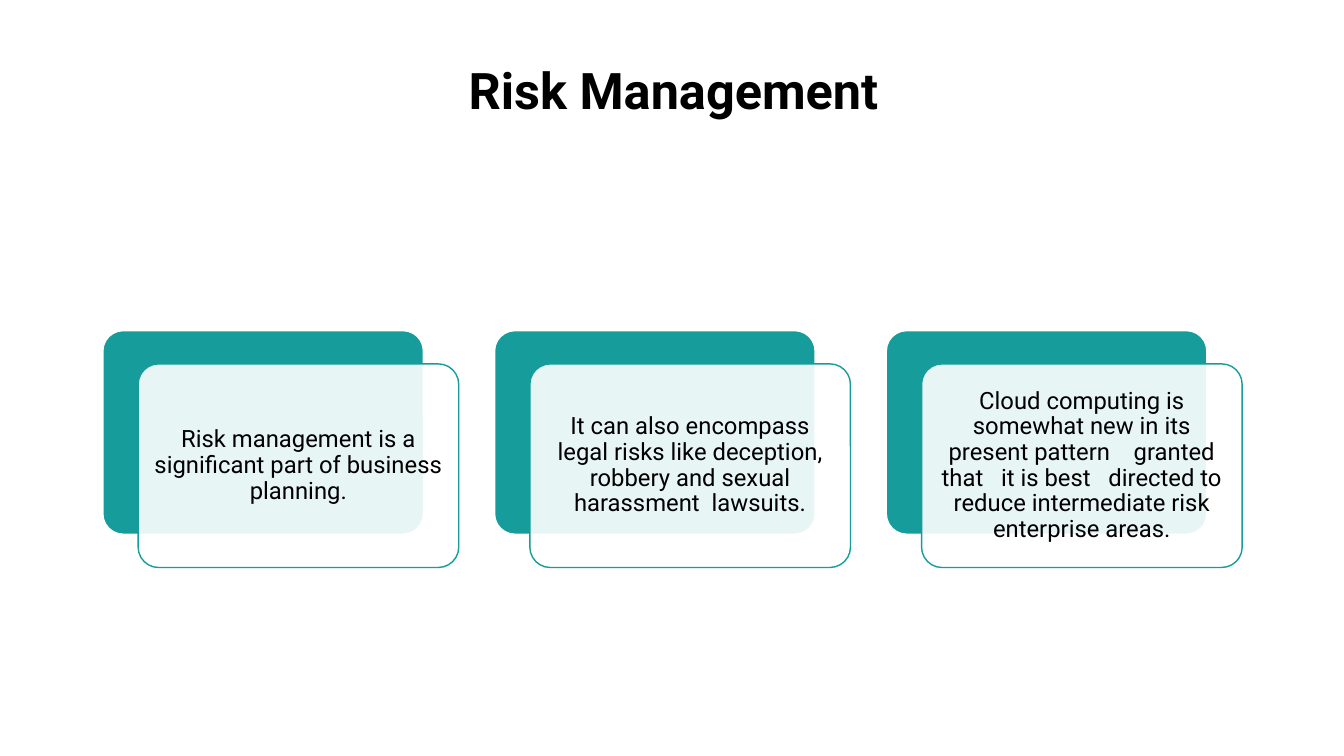
from dataclasses import dataclass

from lxml import etree
from pptx import Presentation
from pptx.dml.color import RGBColor
from pptx.enum import shapes, text
from pptx.oxml.ns import qn
from pptx.util import Inches, Pt


@dataclass(frozen=True)
class Theme:
    font: str = "Roboto"
    ink: str = "000000"
    paper: str = "FFFFFF"
    teal: str = "169C9A"
    title_size: int = 36
    body_size: int = 17
    line_width: int = 1
    corner: float = 0.1
    panel_opacity: int = 90


def write(frame, words, *, size, theme, bold=False, anchor=text.MSO_ANCHOR.MIDDLE,
          inset=None, space_after=0):
    """Fill a text frame with one centred paragraph."""
    frame.word_wrap = True
    frame.auto_size = text.MSO_AUTO_SIZE.NONE
    frame.vertical_anchor = anchor
    if inset is not None:
        frame.margin_left = frame.margin_right = Inches(inset)
        frame.margin_top = frame.margin_bottom = Inches(inset)
    paragraph = frame.paragraphs[0]
    paragraph.alignment = text.PP_ALIGN.CENTER
    paragraph.line_spacing = 0.9
    paragraph.space_before = Pt(0)
    paragraph.space_after = Pt(space_after)
    run = paragraph.add_run()
    run.text = words
    run.font.name = theme.font
    run.font.size = Pt(size)
    run.font.bold = bold
    run.font.color.rgb = RGBColor.from_string(theme.ink)


class SlideBuilder:
    def __init__(self, deck, theme):
        self.theme = theme
        self.slide = deck.slides.add_slide(deck.slide_layouts[5])

    def title(self, words, left, top, width, height):
        heading = self.slide.shapes.title
        heading.left, heading.top = Inches(left), Inches(top)
        heading.width, heading.height = Inches(width), Inches(height)
        write(heading.text_frame, words, size=self.theme.title_size, theme=self.theme,
              bold=True, anchor=text.MSO_ANCHOR.TOP)

    def panel(self, left, top, width, height, fill, line, opacity=100):
        panel = self.slide.shapes.add_shape(
            shapes.MSO_SHAPE.ROUNDED_RECTANGLE,
            Inches(left), Inches(top), Inches(width), Inches(height))
        panel.adjustments[0] = self.theme.corner
        panel.shadow.inherit = False
        panel.fill.solid()
        panel.fill.fore_color.rgb = RGBColor.from_string(fill)
        panel.line.color.rgb = RGBColor.from_string(line)
        panel.line.width = Pt(self.theme.line_width)
        if opacity < 100:
            color = panel.fill._xPr.find(f"{qn('a:solidFill')}/{qn('a:srgbClr')}")
            etree.SubElement(color, qn("a:alpha"), val=str(opacity * 1000))

    def label(self, words, left, top, width, height):
        label = self.slide.shapes.add_textbox(
            Inches(left), Inches(top), Inches(width), Inches(height))
        write(label.text_frame, words, size=self.theme.body_size, theme=self.theme,
              inset=0.07, space_after=6)

    def card(self, words, left, top, width=3.18, height=2.02):
        """Teal panel with a translucent text panel shifted down and right."""
        theme = self.theme
        shift_x, shift_y, pad = 0.35, 0.33, 0.06
        front_left, front_top = left + shift_x, top + shift_y
        self.panel(left, top, width, height, theme.teal, theme.paper)
        self.panel(front_left, front_top, width, height, theme.paper, theme.teal,
                   theme.panel_opacity)
        self.label(words, front_left + pad, front_top + pad,
                   width - 2 * pad, height - 2 * pad)


RISK_POINTS = [
    "Risk management is a significant part of business planning.",
    "It can also encompass legal risks like deception, robbery and sexual "
    "harassment  lawsuits.",
    "Cloud computing is somewhat new in its present pattern    granted that   "
    "it is best   directed to reduce intermediate risk enterprise areas.",
]
FIRST_LEFT, LAST_LEFT, CARD_TOP = 1.02, 8.79, 3.28


def main():
    deck = Presentation()
    deck.slide_width, deck.slide_height = Inches(13.33), Inches(7.5)
    builder = SlideBuilder(deck, Theme())
    builder.title("Risk Management", 1.67, 0.6, 10.02, 1.24)
    pitch = (LAST_LEFT - FIRST_LEFT) / (len(RISK_POINTS) - 1)
    for column, point in enumerate(RISK_POINTS):
        builder.card(point, FIRST_LEFT + column * pitch, CARD_TOP)
    deck.save("out.pptx")


if __name__ == "__main__":
    main()
